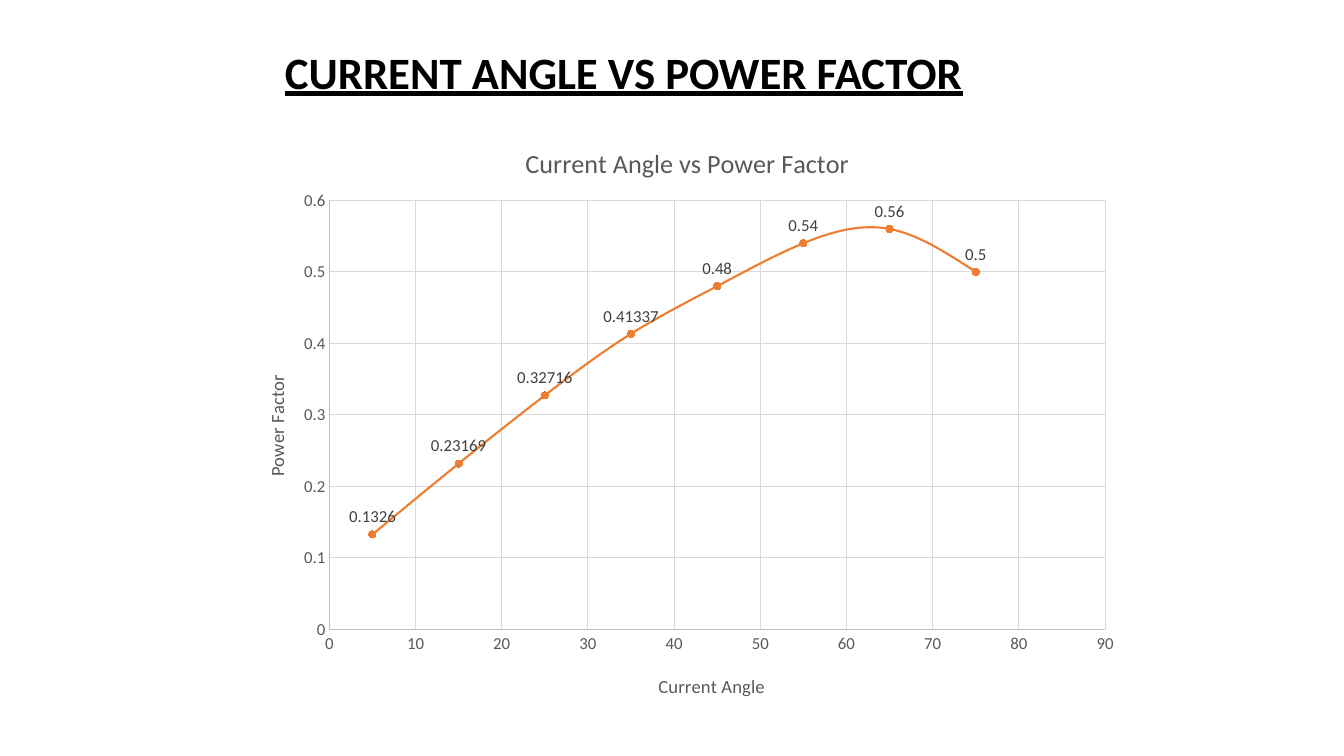
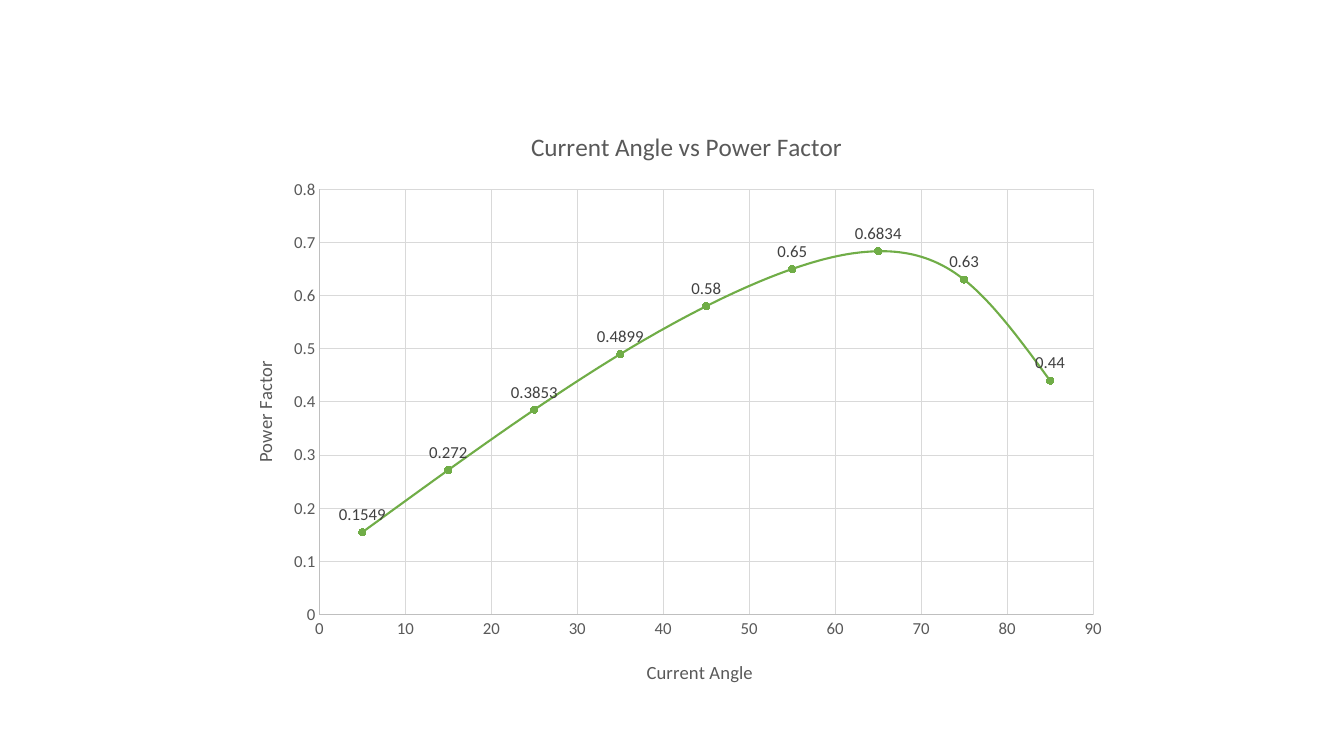
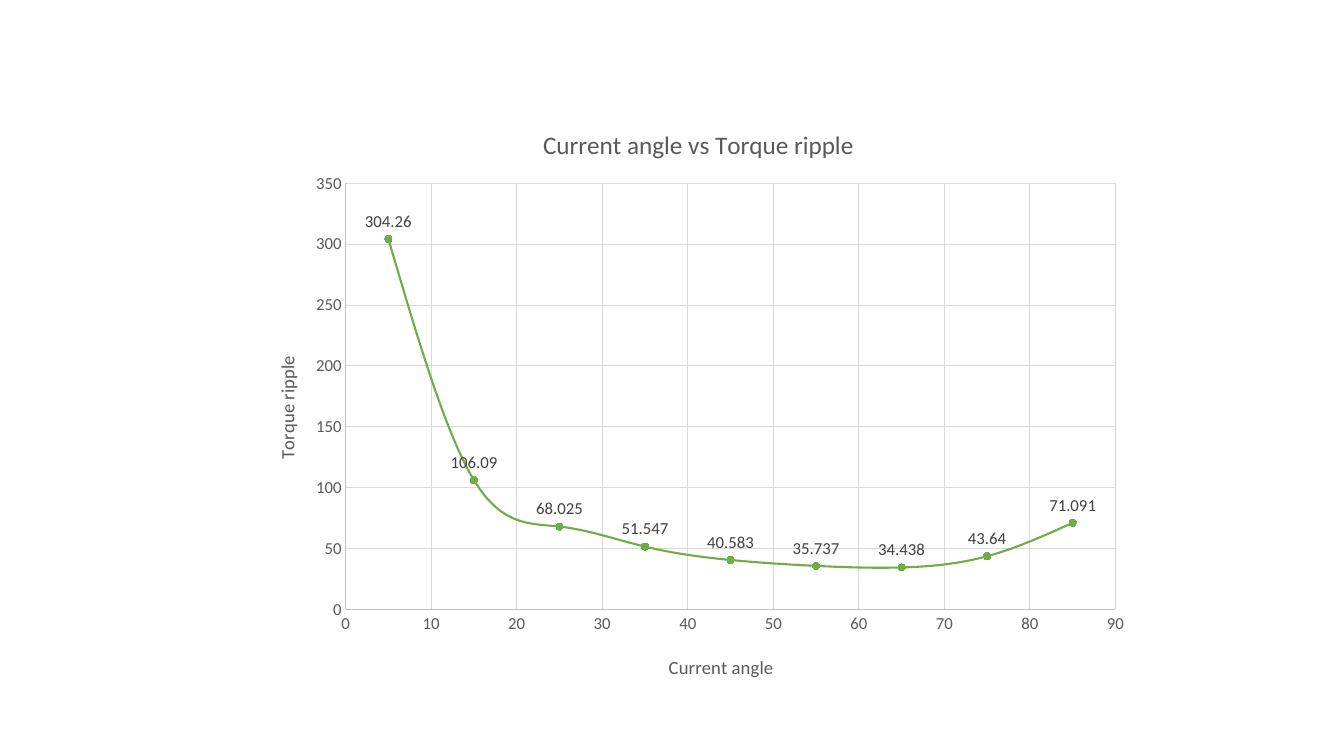
"""Build three slides of scatter charts against current angle."""
from dataclasses import dataclass

from lxml.etree import SubElement
from pptx import Presentation
from pptx.chart.data import XyChartData
from pptx.chart.datalabel import DataLabels
from pptx.dml.color import RGBColor
from pptx.enum.chart import XL_CHART_TYPE as ChartType
from pptx.enum.chart import XL_LABEL_POSITION as LabelPosition
from pptx.enum.chart import XL_MARKER_STYLE as MarkerStyle
from pptx.enum.chart import XL_TICK_MARK as TickMark
from pptx.enum.text import MSO_ANCHOR as Anchor
from pptx.enum.text import PP_ALIGN as Align
from pptx.oxml.ns import qn
from pptx.util import Cm, Pt

COLOURS = {
    "black": "000000",
    "text": "595959",
    "label": "404040",
    "axis": "BFBFBF",
    "grid": "D9D9D9",
    "orange": "ED7D31",
    "green": "70AD47",
}
FONT = "Calibri"
CHART_WIDTH, CHART_HEIGHT = 22.58, 15.06
X_TITLE_PLACE = (10.57, 13.92)
Y_TITLE_PLACE = (0.63, 6.39)
ANGLES = range(5, 90, 10)


@dataclass(frozen=True)
class AngleChart:
    left: float
    top: float
    title: str
    title_size: float
    title_place: tuple[float, float]
    x_title: str
    y_title: str
    y_max: float
    y_step: float
    plot_place: tuple[float, float, float, float]
    colour: str
    values: tuple[float, ...]
    heading: str = ""


CHARTS = (
    AngleChart(
        5.94, 2.97, "Current Angle vs Power Factor", 18.7, (7.18, 0.57),
        "Current Angle", "Power Factor", 0.6, 0.1, (2.36, 2.08, 19.55, 10.81),
        "orange",
        (0.1326, 0.23169, 0.32716, 0.41337, 0.48, 0.54, 0.56, 0.5),
        "CURRENT ANGLE VS POWER FACTOR",
    ),
    AngleChart(
        5.64, 2.62, "Current Angle vs Power Factor", 18, (7.63, 0.52),
        "Current Angle", "Power Factor", 0.8, 0.1, (2.41, 2.15, 19.5, 10.72),
        "green",
        (0.1549, 0.272, 0.3853, 0.4899, 0.58, 0.65, 0.6834, 0.63, 0.44),
    ),
    AngleChart(
        6.2, 2.49, "Current angle vs Torque ripple", 18, (7.37, 0.6),
        "Current angle", "Torque ripple", 350, 50, (2.51, 2.13, 19.4, 10.74),
        "green",
        (304.26, 106.09, 68.025, 51.547, 40.583, 35.737, 34.438, 43.64, 71.091),
    ),
)


def apply(target, formats: dict) -> None:
    for name, value in formats.items():
        setattr(target, name, value)


def style_font(font, size: float, colour: str, **extra) -> None:
    apply(font, {"name": FONT, "size": Pt(size), "bold": False, **extra})
    font.color.rgb = RGBColor.from_string(COLOURS[colour])


def style_line(line, width: float, colour: str) -> None:
    line.width = Pt(width)
    line.color.rgb = RGBColor.from_string(COLOURS[colour])


def place_part(element, place: tuple[float, ...], index: int) -> None:
    for layout in element.findall(qn("c:layout")):
        element.remove(layout)
    layout = SubElement(element, qn("c:layout"))
    element.insert(index, layout)
    manual = SubElement(layout, qn("c:manualLayout"))
    settings = {}
    if len(place) == 4:
        settings["layoutTarget"] = "inner"
    settings.update(xMode="edge", yMode="edge")
    extents = (CHART_WIDTH, CHART_HEIGHT) * 2
    for name, length, extent in zip("xywh", place, extents):
        settings[name] = f"{length / extent:.4f}"
    for name, value in settings.items():
        SubElement(manual, qn(f"c:{name}")).set("val", value)


def write_title(title, text: str, size: float, place: tuple[float, float]) -> None:
    para = title.text_frame.paragraphs[0]
    span = para.add_run()
    span.text = text
    style_font(span.font, size, "text")
    place_part(title._element, place, 1)


def style_axis(axis, text: str, place: tuple[float, float],
               maximum: float, step: float) -> None:
    apply(axis, {
        "minimum_scale": 0,
        "maximum_scale": maximum,
        "major_unit": step,
        "major_tick_mark": TickMark.NONE,
        "minor_tick_mark": TickMark.NONE,
        "has_major_gridlines": True,
        "has_title": True,
    })
    style_line(axis.format.line, 0.75, "axis")
    style_line(axis.major_gridlines.format.line, 0.75, "grid")
    style_font(axis.tick_labels.font, 12, "text")
    write_title(axis.axis_title, text, 13.3, place)


def style_series(series, colour: str) -> None:
    series._element.get_or_add_smooth().val = True
    style_line(series.format.line, 1.5, colour)
    marker = series.marker
    apply(marker, {"style": MarkerStyle.CIRCLE, "size": 5})
    marker.format.fill.solid()
    marker.format.fill.fore_color.rgb = RGBColor.from_string(COLOURS[colour])
    style_line(marker.format.line, 0.75, colour)
    labels = DataLabels(series._element.get_or_add_dLbls())
    apply(labels, {"show_value": True, "position": LabelPosition.ABOVE})
    style_font(labels.font, 12, "label")


def add_angle_chart(page, item: AngleChart) -> None:
    data = XyChartData()
    points = data.add_series("Series 1")
    for angle, value in zip(ANGLES, item.values):
        points.add_data_point(angle, value)
    chart = page.shapes.add_chart(
        ChartType.XY_SCATTER_SMOOTH, Cm(item.left), Cm(item.top),
        Cm(CHART_WIDTH), Cm(CHART_HEIGHT), data,
    ).chart
    style_font(chart.font, 10, "black")
    apply(chart, {"has_legend": False, "has_title": True})
    write_title(chart.chart_title, item.title, item.title_size, item.title_place)
    style_axis(chart.category_axis, item.x_title, X_TITLE_PLACE, 90, 10)
    style_axis(chart.value_axis, item.y_title, Y_TITLE_PLACE,
               item.y_max, item.y_step)
    body = chart.value_axis.axis_title._element.find(".//" + qn("a:bodyPr"))
    body.set("rot", "-5400000")
    body.set("vert", "horz")
    plot = chart.plots[0]
    plot.vary_by_categories = False
    style_series(plot.series[0], item.colour)
    plot_area = chart._chartSpace.find(".//" + qn("c:plotArea"))
    place_part(plot_area, item.plot_place, 0)


def write_heading(box, text: str) -> None:
    apply(box, {"left": Cm(2.34), "top": Cm(1.02),
                "width": Cm(27.64), "height": Cm(1.37)})
    apply(box.text_frame, {
        "word_wrap": True, "vertical_anchor": Anchor.TOP,
        "margin_left": Cm(4.84), "margin_top": Cm(0.25), "margin_bottom": 0,
    })
    para = box.text_frame.paragraphs[0]
    apply(para, {"alignment": Align.LEFT, "line_spacing": 0.9})
    span = para.add_run()
    span.text = text
    style_font(span.font, 32, "black", bold=True, underline=True)


def main() -> None:
    deck = Presentation()
    apply(deck, {"slide_width": Cm(33.87), "slide_height": Cm(19.05)})
    title_only, blank = deck.slide_layouts[5], deck.slide_layouts[6]
    for item in CHARTS:
        page = deck.slides.add_slide(title_only if item.heading else blank)
        add_angle_chart(page, item)
        if item.heading:
            write_heading(page.shapes.title, item.heading)
    deck.save("out.pptx")


if __name__ == "__main__":
    main()
